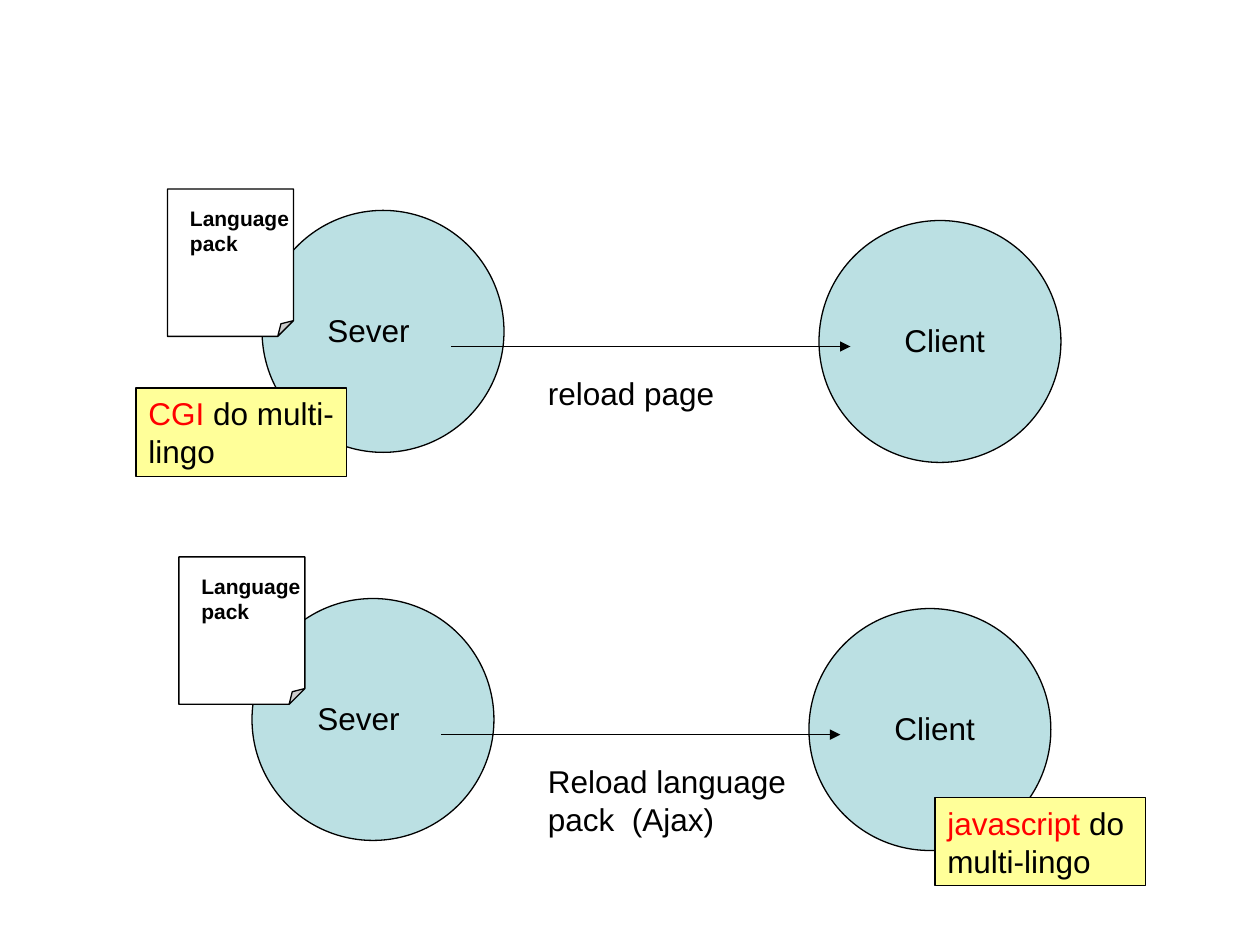
from lxml.etree import SubElement
from pptx import Presentation
from pptx.dml.color import RGBColor
from pptx.enum.shapes import MSO_CONNECTOR, MSO_SHAPE
from pptx.enum.text import MSO_ANCHOR, MSO_AUTO_SIZE, PP_ALIGN
from pptx.oxml.ns import qn
from pptx.util import Inches, Pt

theme = {
    "ink": RGBColor.from_string("000000"),
    "disc": RGBColor.from_string("BBE0E3"),
    "tag": RGBColor.from_string("FFFF99"),
    "page": RGBColor.from_string("FFFFFF"),
    "key": RGBColor.from_string("FF0000"),
    "font": "Arial",
    "body": Pt(18),
    "small": Pt(12),
    "rule": Pt(0.75),
}
frame_fmt = {
    "word_wrap": True,
    "auto_size": MSO_AUTO_SIZE.SHAPE_TO_FIT_TEXT,
    "vertical_anchor": MSO_ANCHOR.TOP,
    "margin_left": Inches(0.1),
    "margin_right": Inches(0.1),
    "margin_top": Inches(0.05),
    "margin_bottom": Inches(0.05),
}

deck = Presentation()
deck.slide_width, deck.slide_height = Inches(10), Inches(7.5)
slide = deck.slides.add_slide(deck.slide_layouts[6])
shapes = slide.shapes


def draw(kind, box, fill):
    shape = shapes.add_shape(kind, *map(Inches, box))
    shape.shadow.inherit = False
    shape.fill.solid()
    shape.fill.fore_color.rgb = theme[fill]
    shape.line.color.rgb = theme["ink"]
    shape.line.width = theme["rule"]
    return shape


def write(box, parts, size="body", bold=False, shape=None):
    shape = shape or shapes.add_textbox(*map(Inches, box))
    frame = shape.text_frame
    for name, value in frame_fmt.items():
        setattr(frame, name, value)
    para = frame.paragraphs[0]
    para.alignment = PP_ALIGN.LEFT
    font_fmt = {"name": theme["font"], "size": theme[size], "bold": bold}
    for text, tint in parts:
        run = para.add_run()
        run.text = text
        for name, value in font_fmt.items():
            setattr(run.font, name, value)
        run.font.color.rgb = theme[tint]


rows = [
    {"disc": (2.08, 1.67), "page": (1.33, 1.5), "tag": (1.08, 3.08),
     "key": "CGI", "note": "reload page", "size": (2.42, 0.4)},
    {"disc": (2, 4.75), "page": (1.42, 4.42), "tag": (7.42, 6.33),
     "key": "javascript", "note": "Reload language pack  (Ajax)", "size": (2.17, 0.7)},
]

for row in rows:
    left, top = row["disc"]
    ends = [("Sever", left, top), ("Client", left + 4.42, top + 0.08)]
    for name, x, y in ends:
        draw(MSO_SHAPE.OVAL, (x, y, 1.92, 1.92), "disc")

    y = top + 1.08
    arrow = shapes.add_connector(
        MSO_CONNECTOR.STRAIGHT, *map(Inches, (left + 1.5, y, left + 4.67, y)))
    arrow.line.color.rgb = theme["ink"]
    arrow.line.width = theme["rule"]
    edge = arrow._element.spPr.find(qn("a:ln"))
    SubElement(edge, qn("a:tailEnd"), type="triangle")
    SubElement(arrow._element.spPr, qn("a:effectLst"))

    for (name, x, y), inset in zip(ends, (0.42, 0.58)):
        write((x + inset, y + 0.75, 1.08, 0.4), [(name, "ink")])
    write((4.25, top + 1.25, *row["size"]), [(row["note"], "ink")])

    box = (*row["tag"], 1.67, 0.7)
    tag = draw(MSO_SHAPE.RECTANGLE, box, "tag")
    write(box, [(row["key"], "key"), (" do multi-lingo", "ink")], shape=tag)

    x, y = row["page"]
    page = draw(MSO_SHAPE.FOLDED_CORNER, (x, y, 1, 1.17), "page")
    guides = page._element.spPr.find(qn("a:prstGeom")).find(qn("a:avLst"))
    SubElement(guides, qn("a:gd"), name="adj", fmla="val 12500")
    write((x + 0.08, y + 0.08, 1, 0.5), [("Language pack", "ink")], "small", True)

deck.save("out.pptx")
